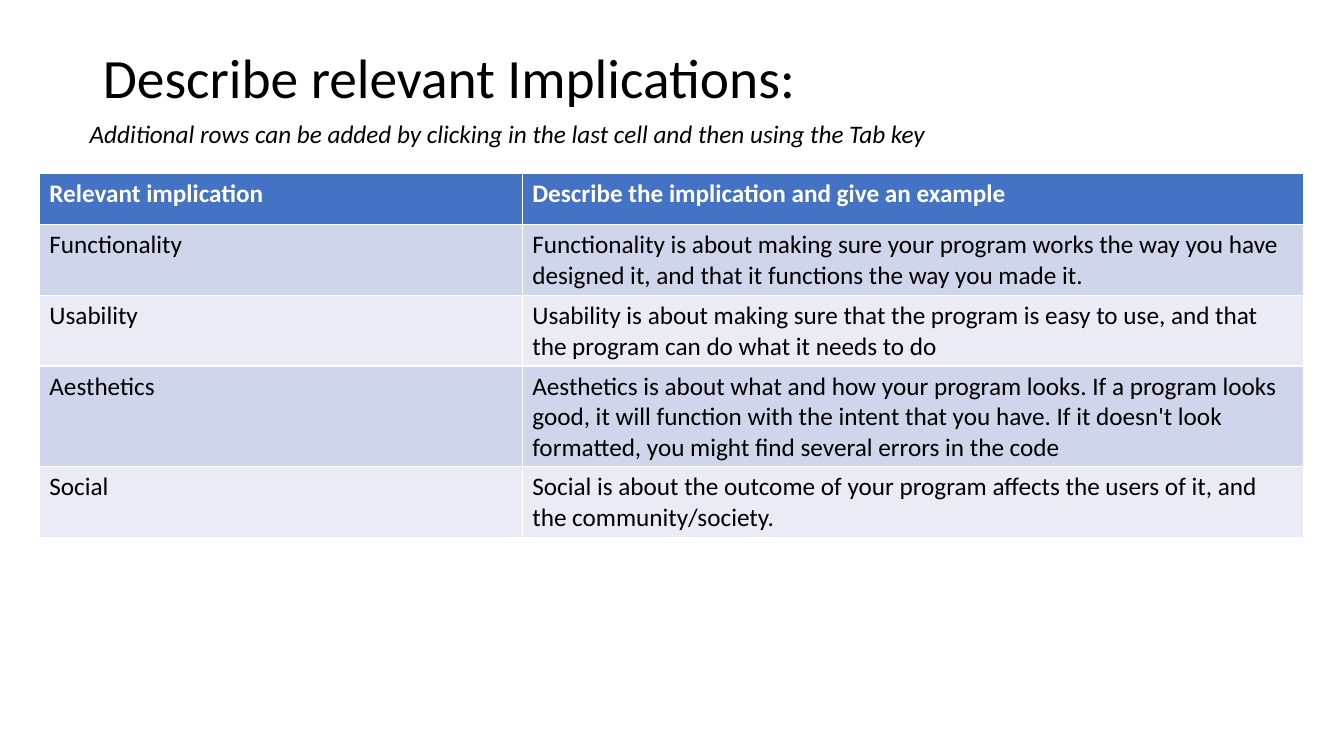
from dataclasses import dataclass

from pptx import Presentation
from pptx.dml.color import RGBColor
from pptx.enum.text import MSO_ANCHOR as Anchor, MSO_AUTO_SIZE as AutoSize, PP_ALIGN as Align
from pptx.slide import Slide
from pptx.text.text import _Paragraph as Paragraph
from pptx.util import Inches, Pt

COLOURS = {
    "text": "000000",
    "header_text": "FFFFFF",
    "header": "4472C4",
    "odd_row": "CFD5EA",
    "even_row": "E9EBF5",
}
FONT = "Calibri"
COLUMN_WIDTHS = (4.79, 7.75)
ROW_HEIGHT = 0.51


@dataclass(frozen=True)
class Implication:
    name: str
    description: str


HEADER = Implication("Relevant implication", "Describe the implication and give an example")
IMPLICATIONS = (
    Implication(
        "Functionality",
        "Functionality is about making sure your program works the way you have "
        "designed it, and that it functions the way you made it.",
    ),
    Implication(
        "Usability",
        "Usability is about making sure that the program is easy to use, and that "
        "the program can do what it needs to do",
    ),
    Implication(
        "Aesthetics",
        "Aesthetics is about what and how your program looks. If a program looks "
        "good, it will function with the intent that you have. If it doesn't look "
        "formatted, you might find several errors in the code",
    ),
    Implication(
        "Social",
        "Social is about the outcome of your program affects the users of it, and "
        "the community/society.",
    ),
)


def colour(name: str) -> RGBColor:
    return RGBColor.from_string(COLOURS[name])


def add_span(para: Paragraph, text: str, size: float = 18, ink: str = "text",
             bold: bool = False, italic: bool = False) -> None:
    span = para.add_run()
    span.text = text
    span.font.name = FONT
    span.font.size = Pt(size)
    span.font.bold = bold
    span.font.italic = italic
    span.font.color.rgb = colour(ink)


def add_title(page: Slide) -> None:
    title = page.shapes.title
    title.left, title.top = Inches(0.92), Inches(0.4)
    title.width, title.height = Inches(11.5), Inches(0.61)
    frame = title.text_frame
    frame.auto_size = AutoSize.NONE
    frame.vertical_anchor = Anchor.MIDDLE
    para = frame.paragraphs[0]
    para.alignment = Align.LEFT
    para.line_spacing = 1.15
    add_span(para, "Describe relevant Implications:", size=39.6)


def add_hint(page: Slide) -> None:
    box = page.shapes.add_textbox(Inches(0.79), Inches(1.12), Inches(10.94), Inches(0.4))
    frame = box.text_frame
    frame.word_wrap = True
    frame.auto_size = AutoSize.SHAPE_TO_FIT_TEXT
    add_span(
        frame.paragraphs[0],
        "Additional rows can be added by clicking in the last cell and then using the Tab key",
        italic=True,
    )


def add_implications(page: Slide) -> None:
    rows = (HEADER, *IMPLICATIONS)
    table = page.shapes.add_table(
        len(rows), len(COLUMN_WIDTHS), Inches(0.39), Inches(1.72),
        Inches(sum(COLUMN_WIDTHS)), Inches(ROW_HEIGHT * len(rows)),
    ).table
    for column, width in zip(table.columns, COLUMN_WIDTHS):
        column.width = Inches(width)
    for index, implication in enumerate(rows):
        is_header = index == 0
        band = "header" if is_header else "odd_row" if index % 2 else "even_row"
        ink = "header_text" if is_header else "text"
        for cell, text in zip(table.rows[index].cells, (implication.name, implication.description)):
            cell.fill.solid()
            cell.fill.fore_color.rgb = colour(band)
            add_span(cell.text_frame.paragraphs[0], text, ink=ink, bold=is_header)


def main() -> None:
    """Build the slide on relevant implications and save it."""
    deck = Presentation()
    deck.slide_width, deck.slide_height = Inches(13.33), Inches(7.5)
    page = deck.slides.add_slide(deck.slide_layouts.get_by_name("Title Only"))
    add_title(page)
    add_hint(page)
    add_implications(page)
    deck.save("out.pptx")


if __name__ == "__main__":
    main()
